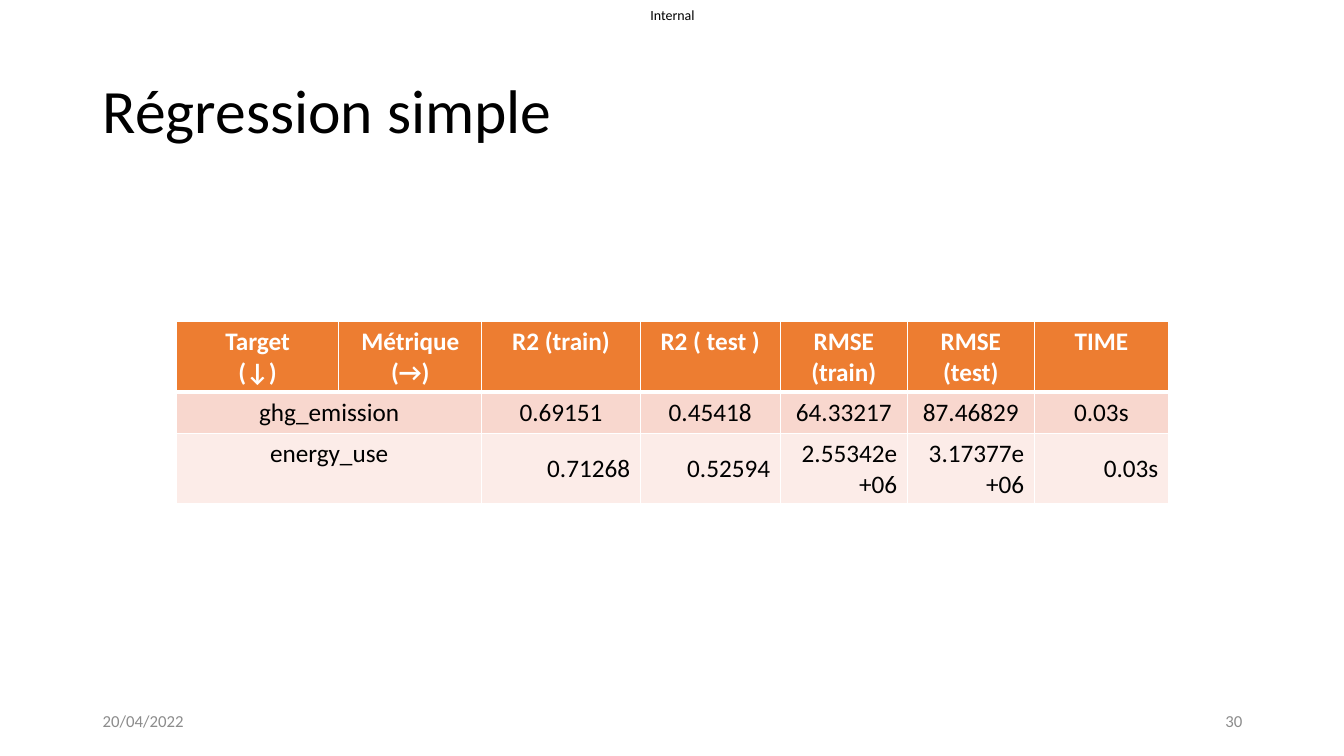
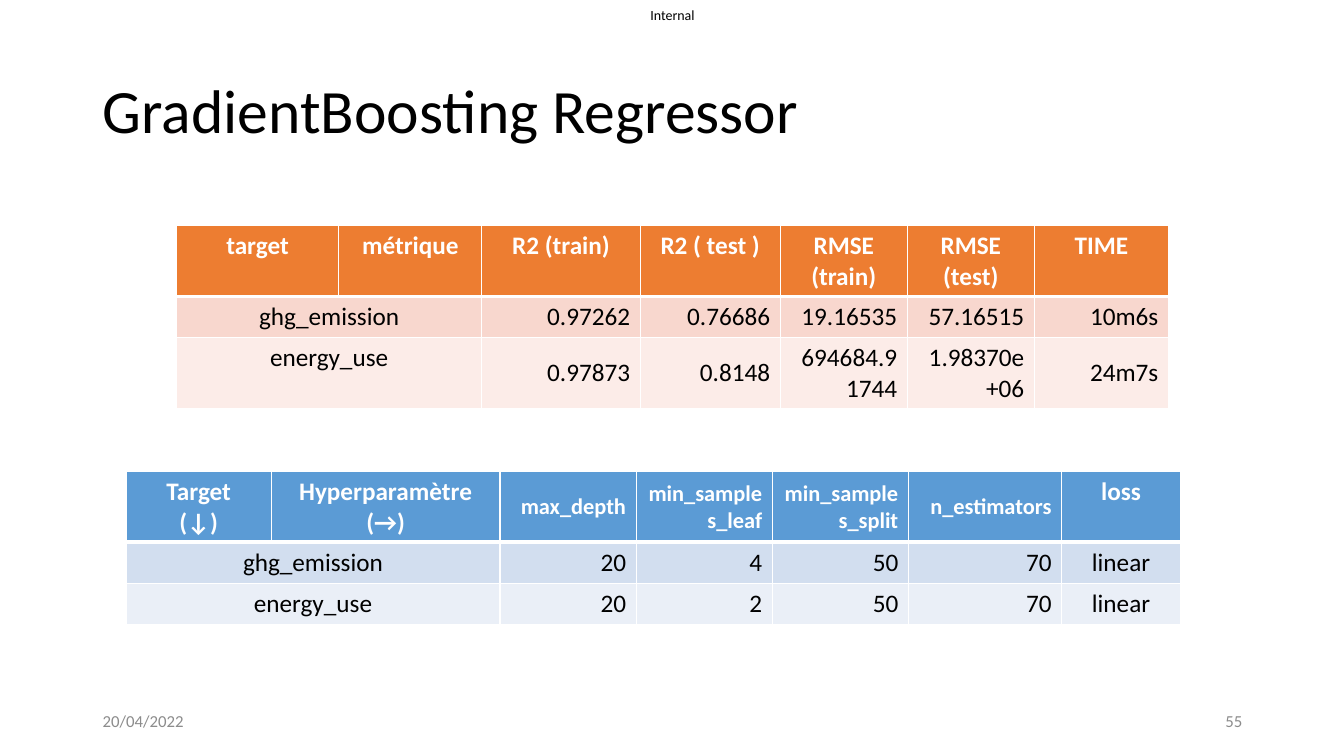
import dataclasses

import pptx
import pptx.dml.color
import pptx.enum.text
import pptx.oxml
import pptx.oxml.ns
import pptx.util

PX = 9144  # EMU, 100 px to the inch
FONT = "Calibri"
BLACK, WHITE, GREY = "000000", "FFFFFF", "8C8C8C"
ORANGE = ("ED7D31", "F8D7CE", "FCECE8")
BLUE = ("5B9BD5", "D2DEEF", "EAEFF7")
ALIGN = pptx.enum.text.PP_ALIGN
ANCHOR = pptx.enum.text.MSO_ANCHOR

SCORE_COLUMNS = [161, 142, 157, 139, 126, 126, 133]
SCORE_HEADS = ["R2 (train)", "R2 ( test )", "RMSE (train)", "RMSE (test)", "TIME"]
SCORE_HEIGHTS = [70, 41, 70]
PARAMETER_COLUMNS = [144, 227, 135, 135, 135, 152, 118]
PARAMETER_HEIGHTS = [70, 41, 41]
SCORES = range(2, 7)
PARAMETERS = range(2, 6)


@dataclasses.dataclass
class Row:
    """Cell texts; the columns in figures are set right and in the middle."""
    texts: list
    figures: range = range(0)
    figure_size: int = 18


def px(length):
    return pptx.util.Emu(length * PX)


def rgb(color):
    return pptx.dml.color.RGBColor.from_string(color)


def format_text(frame, size, color, align=ALIGN.LEFT, bold=False):
    for paragraph in frame.paragraphs:
        paragraph.alignment = align
        for run in paragraph.runs:
            run.font.name = FONT
            run.font.size = pptx.util.Pt(size)
            run.font.bold = bold
            run.font.color.rgb = rgb(color)


def add_label(slide, text, box, size, color, align, inset=True):
    frame = slide.shapes.add_textbox(*map(px, box)).text_frame
    frame.word_wrap = True
    frame.vertical_anchor = ANCHOR.MIDDLE
    if not inset:
        frame.margin_left = frame.margin_right = 0
        frame.margin_top = frame.margin_bottom = 0
    frame.text = text
    format_text(frame, size, color, align)


def add_slide(deck, title, number):
    slide = deck.slides.add_slide(deck.slide_layouts.get_by_name("Title Only"))
    add_label(slide, "Internal", (630, 0, 74, 29), 10, BLACK, ALIGN.CENTER, inset=False)

    heading = slide.shapes.title
    heading.left, heading.top, heading.width, heading.height = map(px, (92, 40, 1150, 145))
    heading.text_frame.text = title
    heading.text_frame.vertical_anchor = ANCHOR.MIDDLE
    heading.text_frame.paragraphs[0].line_spacing = 0.9
    format_text(heading.text_frame, 44, BLACK)

    add_label(slide, "20/04/2022", (92, 695, 300, 40), 12, GREY, ALIGN.LEFT)
    add_label(slide, number, (942, 695, 300, 40), 12, GREY, ALIGN.RIGHT)
    return slide


def set_borders(cell, top, bottom):
    """White lines on all four sides; top and bottom are widths in points."""
    properties = cell._tc.get_or_add_tcPr()
    for side, width in (("L", 1), ("R", 1), ("T", top), ("B", bottom)):
        properties.append(pptx.oxml.parse_xml(
            f'<a:ln{side} {pptx.oxml.ns.nsdecls("a")} w="{pptx.util.Pt(width)}">'
            f'<a:solidFill><a:srgbClr val="{WHITE}"/></a:solidFill></a:ln{side}>'))


def fill_cell(cell, text, fill, is_head, is_figure, size):
    set_borders(cell, 1, 3 if is_head else 1)
    cell.fill.solid()
    cell.fill.fore_color.rgb = rgb(fill)
    cell.vertical_anchor = ANCHOR.MIDDLE if is_figure else ANCHOR.TOP
    cell.text_frame.text = text
    format_text(cell.text_frame, size, WHITE if is_head else BLACK,
                ALIGN.RIGHT if is_figure else ALIGN.CENTER, is_head)


def add_grid(slide, left, top, widths, heights, fills, rows):
    """Table whose target name spans the first two columns below the head."""
    table = slide.shapes.add_table(
        len(rows), len(widths), px(left), px(top), px(sum(widths)), px(sum(heights))).table
    for column, width in zip(table.columns, widths):
        column.width = px(width)
    for r, (row, height, fill) in enumerate(zip(rows, heights, fills)):
        table.rows[r].height = px(height)
        for c, text in enumerate(row.texts):
            is_figure = c in row.figures
            fill_cell(table.cell(r, c), text, fill, r == 0, is_figure,
                      row.figure_size if is_figure else 18)
        if r > 0:
            table.cell(r, 0).merge(table.cell(r, 1))


def add_scores(slide, top, corner, ghg, energy):
    add_grid(slide, 175, top, SCORE_COLUMNS, SCORE_HEIGHTS, ORANGE,
             [Row(corner + SCORE_HEADS), ghg, energy])


def add_simple_regression(deck):
    slide = add_slide(deck, "Régression simple", "30")
    add_scores(
        slide, 319, ["Target\n(↓)", "Métrique\n(→)"],
        Row(["ghg_emission", "", "0.69151", "0.45418", "64.33217", "87.46829", "0.03s"]),
        Row(["energy_use", "", "0.71268", "0.52594", "2.55342e+06", "3.17377e+06", "0.03s"],
            SCORES))


def add_gradient_boosting(deck):
    slide = add_slide(deck, "GradientBoosting Regressor", "55")
    add_scores(
        slide, 224, ["target", "métrique"],
        Row(["ghg_emission", "", "0.97262", "0.76686", "19.16535", "57.16515", "10m6s"],
            SCORES),
        Row(["energy_use", "", "0.97873", "0.8148", "694684.91744", "1.98370e+06", "24m7s"],
            SCORES))
    add_grid(slide, 125, 468, PARAMETER_COLUMNS, PARAMETER_HEIGHTS, BLUE, [
        Row(["Target\n(↓)", "Hyperparamètre\n(→)", "max_depth", "min_samples_leaf",
             "min_samples_split", "n_estimators", "loss"], PARAMETERS, 16),
        Row(["ghg_emission", "", "20", "4", "50", "70", "linear"], PARAMETERS),
        Row(["energy_use", "", "20", "2", "50", "70", "linear"], PARAMETERS),
    ])


def main():
    deck = pptx.Presentation()
    deck.slide_width, deck.slide_height = px(1333), px(750)
    add_simple_regression(deck)
    add_gradient_boosting(deck)
    deck.save("out.pptx")


if __name__ == "__main__":
    main()
